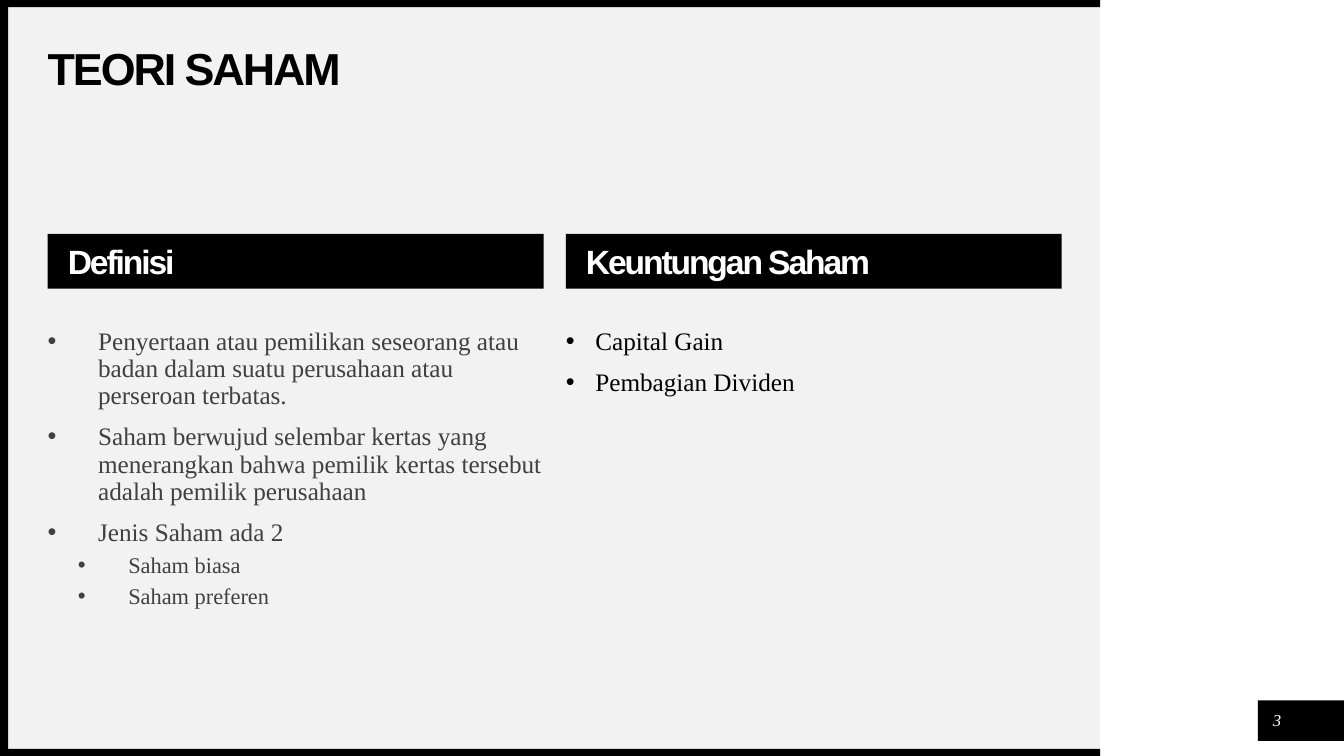
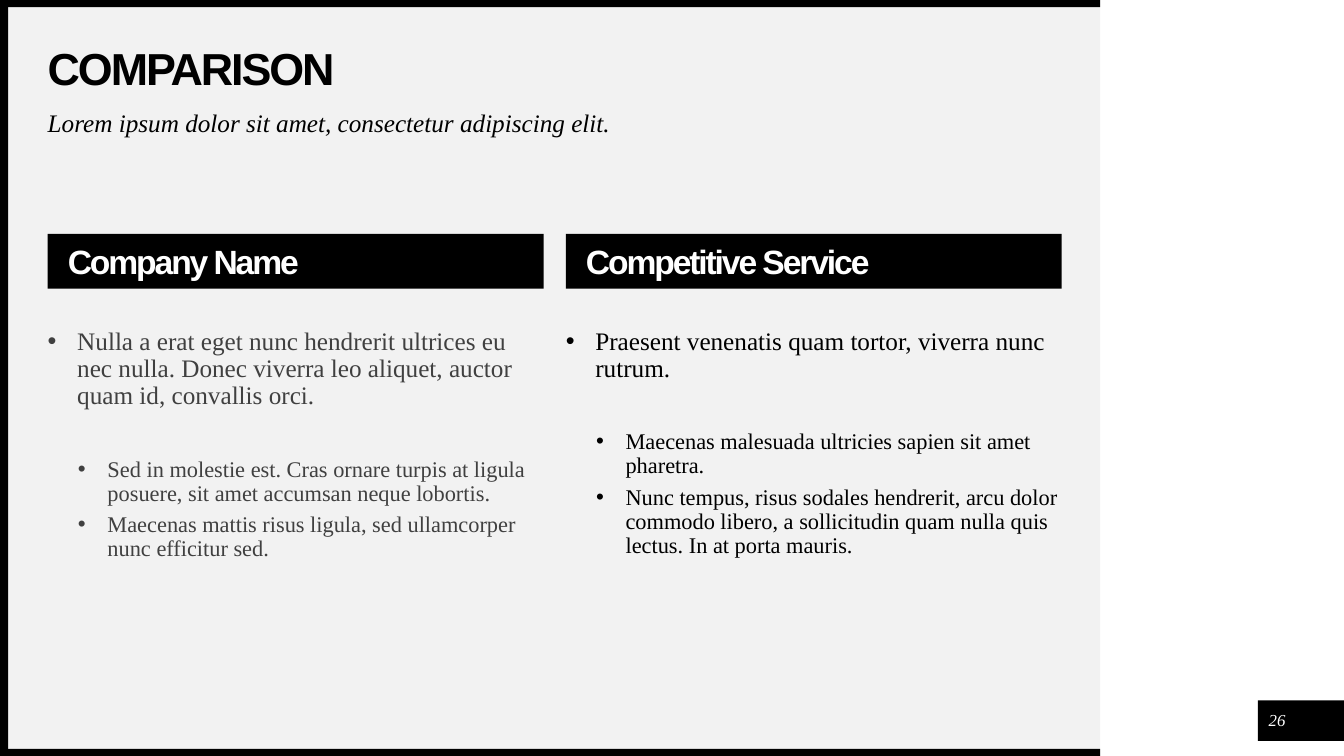
from lxml.etree import SubElement
from pptx import Presentation
from pptx.dml.color import RGBColor
from pptx.enum.shapes import MSO_SHAPE
from pptx.enum.text import MSO_ANCHOR, PP_ALIGN
from pptx.oxml.ns import qn
from pptx.util import Inches, Pt

BLACK, WHITE, PANEL, DARK_GREY = "000000", "FFFFFF", "F2F2F2", "404040"
HEADING_FONT, BODY_FONT = "Arial", "Times New Roman"

# Shares of the slide's size, in percent
MARGIN = 3.55
CONTENT_WIDTH = 75.45
COLUMN_WIDTH = 36.9
COLUMN_PITCH = CONTENT_WIDTH - COLUMN_WIDTH
PANEL_RIGHT = 81.85
EDGE_WIDTH, EDGE_HEIGHT = 0.6, 0.95
NARROW_HANG, WIDE_HANG = 2.2, 3.75
LEVEL_INDENT = 2.25

LEVEL_SIZES = (18, 16)
LEVEL_SPACES = (10, 5)
GROUP_SPACE = 34


def color(hex_string):
    return RGBColor.from_string(hex_string)


class Deck:
    """The deck's style and the slide being built; boxes are in percent."""

    def __init__(self):
        self.presentation = Presentation()
        self.presentation.slide_width = Inches(13.33)
        self.presentation.slide_height = Inches(7.5)
        self.slide = None

    def across(self, share):
        return round(self.presentation.slide_width * share / 100)

    def down(self, share):
        return round(self.presentation.slide_height * share / 100)

    def place(self, left, top, width, height):
        return (self.across(left), self.down(top),
                self.across(width), self.down(height))

    def band(self, *box, fill=BLACK):
        shape = self.slide.shapes.add_shape(MSO_SHAPE.RECTANGLE, *self.place(*box))
        shape.shadow.inherit = False
        shape.fill.solid()
        shape.fill.fore_color.rgb = color(fill)
        shape.line.fill.background()
        return shape

    def text_box(self, *box):
        return self.slide.shapes.add_textbox(*self.place(*box))

    def frame(self, shape, anchor=MSO_ANCHOR.TOP, left=0, top=0):
        """Set the insets, in inches, and return the shape's text frame."""
        frame = shape.text_frame
        frame.word_wrap = True
        frame.vertical_anchor = anchor
        frame.margin_left, frame.margin_top = Inches(left), Inches(top)
        frame.margin_right = frame.margin_bottom = 0
        return frame

    def run(self, paragraph, text, size, font=BODY_FONT, fill=BLACK,
            bold=False, italic=False, tracking=0):
        run = paragraph.add_run()
        run.text = text
        run.font.size = Pt(size)
        run.font.name = font
        run.font.bold, run.font.italic = bold, italic
        run.font.color.rgb = color(fill)
        if tracking:
            run.font._element.set("spc", str(round(tracking * 100)))

    def line(self, frame, text, size, align=PP_ALIGN.LEFT, **style):
        paragraph = frame.paragraphs[0]
        paragraph.alignment = align
        paragraph.line_spacing = 0.9
        self.run(paragraph, text, size, **style)

    def heading(self, frame, text, size, fill):
        self.line(frame, text, size, font=HEADING_FONT, fill=fill,
                  bold=True, tracking=-1.5)

    def bullet(self, paragraph, level, hang):
        properties = paragraph._p.get_or_add_pPr()
        properties.set("marL", str(self.across(hang + level * LEVEL_INDENT)))
        properties.set("indent", str(-self.across(hang)))
        SubElement(properties, qn("a:buFont"), typeface="Arial")
        SubElement(properties, qn("a:buChar"), char="•")

    def page_number(self, number):
        self.band(93.6, 92.65, 6.4, 5.35)
        frame = self.frame(self.text_box(93.9, 93.4, 2.25, 4), MSO_ANCHOR.MIDDLE)
        self.line(frame, str(number), 12, align=PP_ALIGN.CENTER,
                  fill=WHITE, italic=True)

    def start_slide(self, title, number):
        self.slide = self.presentation.slides.add_slide(
            self.presentation.slide_layouts[6])
        self.band(0, 0, PANEL_RIGHT, 100, fill=PANEL)
        for top in (0, 100 - EDGE_HEIGHT):
            self.band(0, top, PANEL_RIGHT, EDGE_HEIGHT)
        self.band(0, 0, EDGE_WIDTH, 100)
        self.page_number(number)
        frame = self.frame(self.text_box(MARGIN, 6.3, CONTENT_WIDTH, 6.2),
                           MSO_ANCHOR.MIDDLE)
        self.heading(frame, title, 32, BLACK)

    def subtitle(self, text):
        frame = self.frame(self.text_box(MARGIN, 14.7, CONTENT_WIDTH, 5.2))
        self.line(frame, text, 18, italic=True)

    def column(self, index, header, items, fill, hang=NARROW_HANG, grouped=False):
        """Add a header band over (level, text) bullets.

        A grouped column leaves a wider gap before its sub-items.
        """
        left = MARGIN + index * COLUMN_PITCH
        band = self.band(left, 30.95, COLUMN_WIDTH, 7.25)
        self.heading(self.frame(band, MSO_ANCHOR.MIDDLE, left=0.2, top=0.04),
                     header, 24, WHITE)
        frame = self.frame(self.text_box(left, 43.45, COLUMN_WIDTH, 36.8))
        previous_level = None
        for level, text in items:
            if previous_level is None:
                paragraph = frame.paragraphs[0]
            else:
                paragraph = frame.add_paragraph()
                opens_group = grouped and level > previous_level
                paragraph.space_before = Pt(
                    GROUP_SPACE if opens_group else LEVEL_SPACES[level])
            paragraph.level = level
            paragraph.line_spacing = 0.9
            self.bullet(paragraph, level, hang)
            self.run(paragraph, text, LEVEL_SIZES[level], fill=fill)
            previous_level = level


def main():
    deck = Deck()

    deck.start_slide("TEORI SAHAM", 3)
    deck.column(0, "Definisi", [
        (0, "Penyertaan atau pemilikan seseorang atau badan dalam suatu "
            "perusahaan atau perseroan terbatas."),
        (0, "Saham berwujud selembar kertas yang menerangkan bahwa pemilik "
            "kertas tersebut adalah pemilik perusahaan"),
        (0, "Jenis Saham ada 2"),
        (1, "Saham biasa"),
        (1, "Saham preferen"),
    ], DARK_GREY, hang=WIDE_HANG)
    deck.column(1, "Keuntungan Saham", [
        (0, "Capital Gain"),
        (0, "Pembagian Dividen"),
    ], BLACK)

    deck.start_slide("COMPARISON", 26)
    deck.subtitle("Lorem ipsum dolor sit amet, consectetur adipiscing elit.")
    deck.column(0, "Company Name", [
        (0, "Nulla a erat eget nunc hendrerit ultrices eu nec nulla. Donec "
            "viverra leo aliquet, auctor quam id, convallis orci."),
        (1, "Sed in molestie est. Cras ornare turpis at ligula posuere, sit "
            "amet accumsan neque lobortis."),
        (1, "Maecenas mattis risus ligula, sed ullamcorper nunc efficitur sed."),
    ], DARK_GREY, grouped=True)
    deck.column(1, "Competitive Service", [
        (0, "Praesent venenatis quam tortor, viverra nunc rutrum."),
        (1, "Maecenas malesuada ultricies sapien sit amet pharetra."),
        (1, "Nunc tempus, risus sodales hendrerit, arcu dolor commodo libero, "
            "a sollicitudin quam nulla quis lectus. In at porta mauris."),
    ], BLACK, grouped=True)

    deck.presentation.save("out.pptx")


if __name__ == "__main__":
    main()
